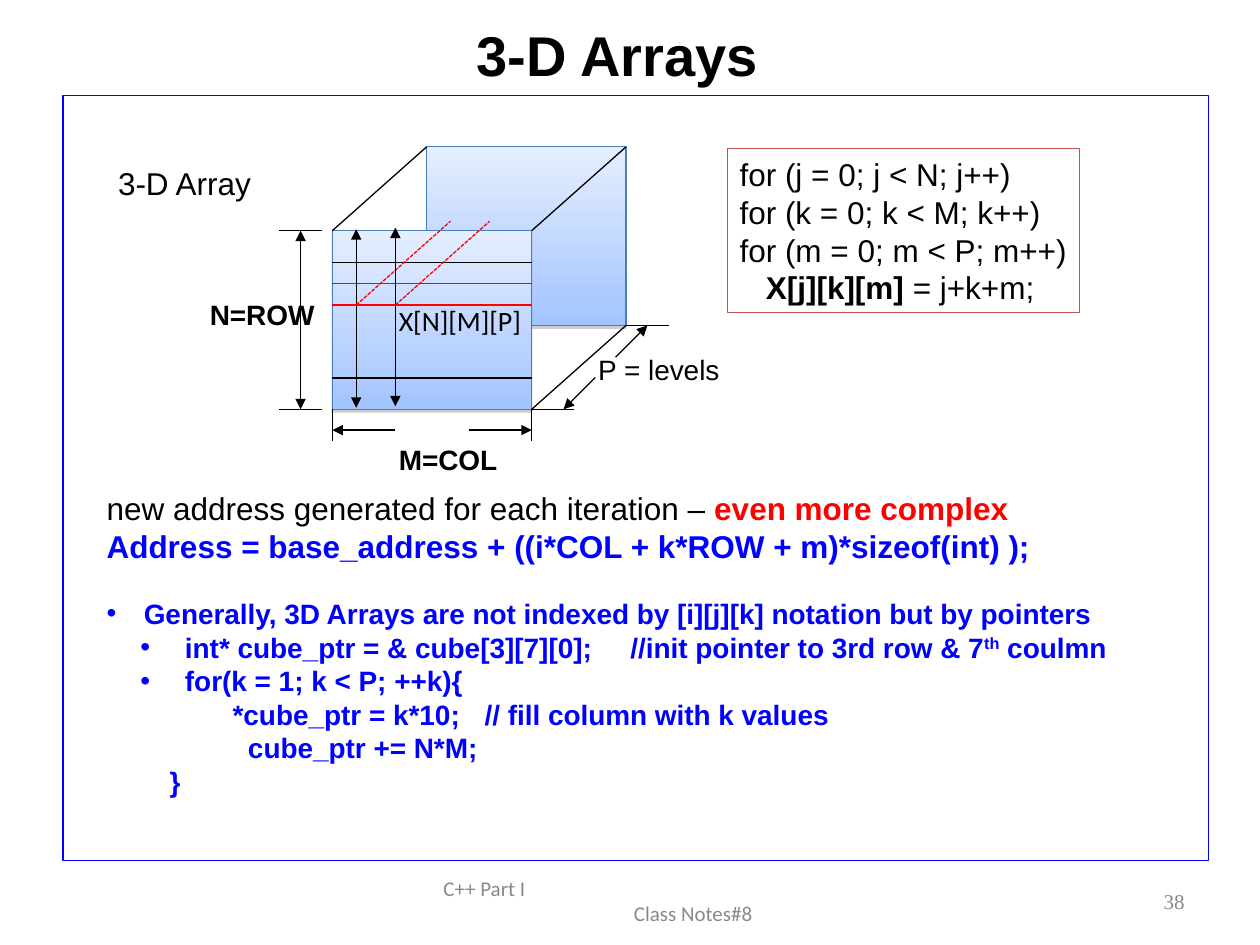
import pptx
import pptx.dml.color
import pptx.enum.dml
import pptx.enum.shapes
import pptx.enum.text
import pptx.oxml.ns
import pptx.util
from dataclasses import dataclass
from lxml import etree

Cm, Pt, qn = pptx.util.Cm, pptx.util.Pt, pptx.oxml.ns.qn
ALIGN = pptx.enum.text.PP_ALIGN
MIDDLE = pptx.enum.text.MSO_ANCHOR.MIDDLE
RECT = pptx.enum.shapes.MSO_SHAPE.RECTANGLE


@dataclass(frozen=True)
class Theme:
    """Colours, fonts and sizes of the deck."""
    black: str = "000000"
    blue: str = "0000FF"
    red: str = "FF0000"
    grey: str = "898989"
    edge: str = "4A7EBB"
    code_edge: str = "C0504D"
    shadow: str = "808080"
    face: tuple = ("E5EEFF", "A3C4FF")
    sans: str = "Arial"
    footer_font: str = "Calibri"
    number_font: str = "Times New Roman"
    title: int = 32
    text: int = 18
    label: int = 16
    footer: int = 12
    line: float = 0.75


T = Theme()


def rgb(value):
    """Turn a hex string into a colour."""
    return pptx.dml.color.RGBColor.from_string(value)


def sub(parent, tag, **attrs):
    """Append a DrawingML element."""
    el = etree.SubElement(parent, qn(tag))
    for key, value in attrs.items():
        el.set(key, str(value))
    return el


def add_run(p, text, size, color=T.black, bold=False, font=T.sans, raised=False):
    """Append a formatted run to a paragraph."""
    r = p.add_run()
    r.text = text
    r.font.size, r.font.name, r.font.bold = Pt(size), font, bold
    r.font.color.rgb = rgb(color)
    if raised:
        r._r.get_or_add_rPr().set("baseline", "30000")


def layout_paragraph(p, left=0, hang=0, bullet=False, tabs=()):
    """Set indents, bullet and tab stops of a paragraph."""
    pPr = p._p.get_or_add_pPr()
    pPr.set("marL", str(Cm(left)))
    pPr.set("indent", str(-Cm(hang)))
    if bullet:
        sub(sub(pPr, "a:buClr"), "a:srgbClr", val=T.blue)
        sub(pPr, "a:buFont", typeface=T.sans)
        sub(pPr, "a:buChar", char="•")
    if tabs:
        stops = sub(pPr, "a:tabLst")
        for pos in tabs:
            sub(stops, "a:tab", pos=Cm(pos), algn="l")


def add_textbox(s, x, y, w, h, wrap=True):
    """Add an empty text box and return its frame."""
    tf = s.shapes.add_textbox(Cm(x), Cm(y), Cm(w), Cm(h)).text_frame
    tf.word_wrap = wrap
    return tf


def add_label(s, x, y, w, text, size=T.label, bold=False):
    """Add a one-line label."""
    tf = add_textbox(s, x, y, w, 0.94, wrap=False)
    add_run(tf.paragraphs[0], text, size, bold=bold)


def add_rect(s, x, y, w, h, color):
    """Add an unfilled rectangle with a thin outline."""
    sp = s.shapes.add_shape(RECT, Cm(x), Cm(y), Cm(w), Cm(h))
    sp.shadow.inherit = False
    sp.fill.background()
    sp.line.color.rgb, sp.line.width = rgb(color), Pt(T.line)
    return sp


def add_face(s, x, y, w, h):
    """Add a shaded face of the cube."""
    sp = add_rect(s, x, y, w, h, T.edge)
    sp.fill.gradient()
    sp.fill.gradient_angle = 270
    for stop, color, pos in zip(sp.fill.gradient_stops, T.face, (0, 1)):
        stop.color.rgb, stop.position = rgb(color), pos
    shadow = sub(sp._element.spPr.find(qn("a:effectLst")), "a:outerShdw",
                 blurRad=0, dist=Pt(1.6), dir=5400000, rotWithShape=0)
    sub(sub(shadow, "a:srgbClr", val=T.shadow), "a:alpha", val=38000)
    return sp


def add_line(s, x1, y1, x2, y2, color=T.black, ends=(), dashed=False):
    """Add a straight line with optional arrowheads."""
    ln = s.shapes.add_connector(pptx.enum.shapes.MSO_CONNECTOR.STRAIGHT,
                                Cm(x1), Cm(y1), Cm(x2), Cm(y2))
    ln.line.color.rgb, ln.line.width = rgb(color), Pt(T.line)
    if dashed:
        ln.line.dash_style = pptx.enum.dml.MSO_LINE.SQUARE_DOT
    for end in ("headEnd", "tailEnd"):
        if end in ends:
            sub(ln.line._get_or_add_ln(), "a:" + end, type="triangle")
    sub(ln._element.spPr, "a:effectLst")


def add_cube(s, x, y, w, h, dx, dy):
    """Draw the array cube, its front face in the given box, with its dimensions."""
    right, bottom = x + w, y + h
    both = ("headEnd", "tailEnd")
    add_face(s, x + dx, y - dy, w, h)
    tf = add_face(s, x, y, w, h).text_frame
    tf.margin_left, tf.margin_right, tf.vertical_anchor = Cm(1.34), 0, MIDDLE
    tf.paragraphs[0].alignment = ALIGN.LEFT
    add_run(tf.paragraphs[0], "X[N][M][P]", T.label, font=T.footer_font)

    for cx, cy in ((right, bottom), (x, y), (right, y)):
        add_line(s, cx, cy, cx + dx, cy - dy)
    for row, color in ((0.64, T.black), (1.07, T.red), (1.5, T.red), (2.97, T.black)):
        add_line(s, x, y + row, right, y + row, color)
    for col, lift in ((0.48, 0.03), (1.27, 0.06)):
        add_line(s, x + col, y - lift, x + col, bottom - lift, ends=both)
        add_line(s, x + col, y + 1.5, x + col + dx, y + 1.5 - dy, T.red, dashed=True)

    for ty in (y, bottom):
        add_line(s, x - 0.21, ty, x - 1.07, ty)
    add_line(s, x - 0.64, y, x - 0.64, bottom, ends=both)
    add_label(s, x - 2.72, y + 1.23, 2.62, "N=ROW", bold=True)

    for tx in (x, right):
        add_line(s, tx, bottom, tx, bottom + 0.64)
    add_line(s, x, bottom + 0.42, x + 1.27, bottom + 0.42, ends=("headEnd",))
    add_line(s, right - 1.27, bottom + 0.42, right, bottom + 0.42, ends=("tailEnd",))
    add_label(s, x + 1.09, bottom + 0.54, 2.49, "M=COL", bold=True)

    for tx, ty in ((right, bottom), (right + dx, bottom - dy)):
        add_line(s, tx, ty, tx + 0.86, ty)
    px, py = right + 0.64, bottom
    add_line(s, px, py, px + 0.64, py - 0.64, ends=("headEnd",))
    px, py = right + dx + 0.43, bottom - dy
    add_line(s, px - 0.64, py + 0.64, px, py, ends=("tailEnd",))
    add_label(s, right + 1.09, bottom - 1.27, 2.95, "P = levels")


def add_loop_code(s, x, y, w, h):
    """Add the outlined loop code."""
    tf = add_rect(s, x, y, w, h, T.code_edge).text_frame
    tf.word_wrap = False
    tf.vertical_anchor = pptx.enum.text.MSO_ANCHOR.TOP
    lines = ["for (j = 0; j < N; j++)", "for (k = 0; k < M; k++)", "for (m = 0; m < P; m++)"]
    for i, line in enumerate(lines):
        p = tf.add_paragraph() if i else tf.paragraphs[0]
        p.alignment = ALIGN.LEFT
        add_run(p, line, T.text)
    p = tf.add_paragraph()
    p.alignment = ALIGN.LEFT
    layout_paragraph(p, left=0.53)
    add_run(p, "X[j][k][m]", T.text, bold=True)
    add_run(p, " = j+k+m;", T.text)


def add_notes_text(s, x, y, w, h):
    """Add the address formula and the pointer example."""
    tf = add_textbox(s, x, y, w, h)
    p = tf.paragraphs[0]
    add_run(p, "new address generated for each iteration – ", T.text)
    add_run(p, "even more complex", T.text, T.red, True)
    add_run(tf.add_paragraph(), "Address = base_address + ((i*COL + k*ROW + m)*sizeof(int) );",
            T.text, T.blue, True)
    point = dict(left=1.58, hang=0.9, bullet=True)
    items = [
        (dict(left=0.75, hang=0.75, bullet=True),
         ["Generally, 3D Arrays are not indexed by [i][j][k] notation but by pointers"]),
        (dict(point, tabs=(8.98, 10.56)),
         ["int* cube_ptr = & cube[3][7][0];\t//init pointer to 3rd row & 7", "th", " coulmn"]),
        (point, ["for(k = 1; k < P; ++k){"]),
        (dict(left=2.54, tabs=(6.35, 8.89)), ["*cube_ptr = k*10;\t// fill column with k values"]),
        (dict(left=2.85), ["cube_ptr += N*M;"]),
        (dict(left=1.27), ["}"]),
    ]
    for i, (layout, texts) in enumerate(items):
        p = tf.add_paragraph()
        layout_paragraph(p, **layout)
        p.space_before = Pt(0 if i else 18.4)
        for text in texts:
            add_run(p, text, T.label, T.blue, True, raised=text == "th")


def add_title(s, x, y, w, h):
    """Add the slide title."""
    tf = add_textbox(s, x, y, w, h)
    p = tf.paragraphs[0]
    p.alignment, p.line_spacing = ALIGN.CENTER, 0.9
    add_run(p, "3-D Arrays", T.title, bold=True)


def add_footer(s, x, y, w, h):
    """Add the course footer and the slide number."""
    tf = add_textbox(s, x, y, 8.05, h)
    number = add_textbox(s, x + w - 5.92, y, 5.92, h)
    tf.vertical_anchor = number.vertical_anchor = MIDDLE
    add_run(tf.paragraphs[0], "C++ Part I", T.footer, T.grey, font=T.footer_font)
    p = tf.add_paragraph()
    layout_paragraph(p, left=3.84)
    add_run(p, "Class Notes#8", T.footer, T.grey, font=T.footer_font)
    number.paragraphs[0].alignment = ALIGN.RIGHT
    add_run(number.paragraphs[0], "38", T.footer, T.grey, font=T.number_font)


def main():
    """Build the slide and save it."""
    prs = pptx.Presentation()
    prs.slide_width, prs.slide_height = Cm(25.4), Cm(19.05)
    s = prs.slides.add_slide(prs.slide_layouts[6])
    add_footer(s, 8.69, 17.65, 15.44, 1.02)
    add_rect(s, 1.27, 1.93, 23.09, 15.42, T.blue)
    add_title(s, 2.38, 0.45, 20.12, 1.47)
    add_label(s, 2.13, 3.18, 3.23, "3-D Array", T.text)
    add_cube(s, 6.7, 4.65, 4.02, 3.6, 1.9, 1.69)
    add_loop_code(s, 14.66, 3, 7.11, 3.3)
    add_notes_text(s, 1.9, 9.73, 21.03, 6.53)
    prs.save("out.pptx")


if __name__ == "__main__":
    main()
